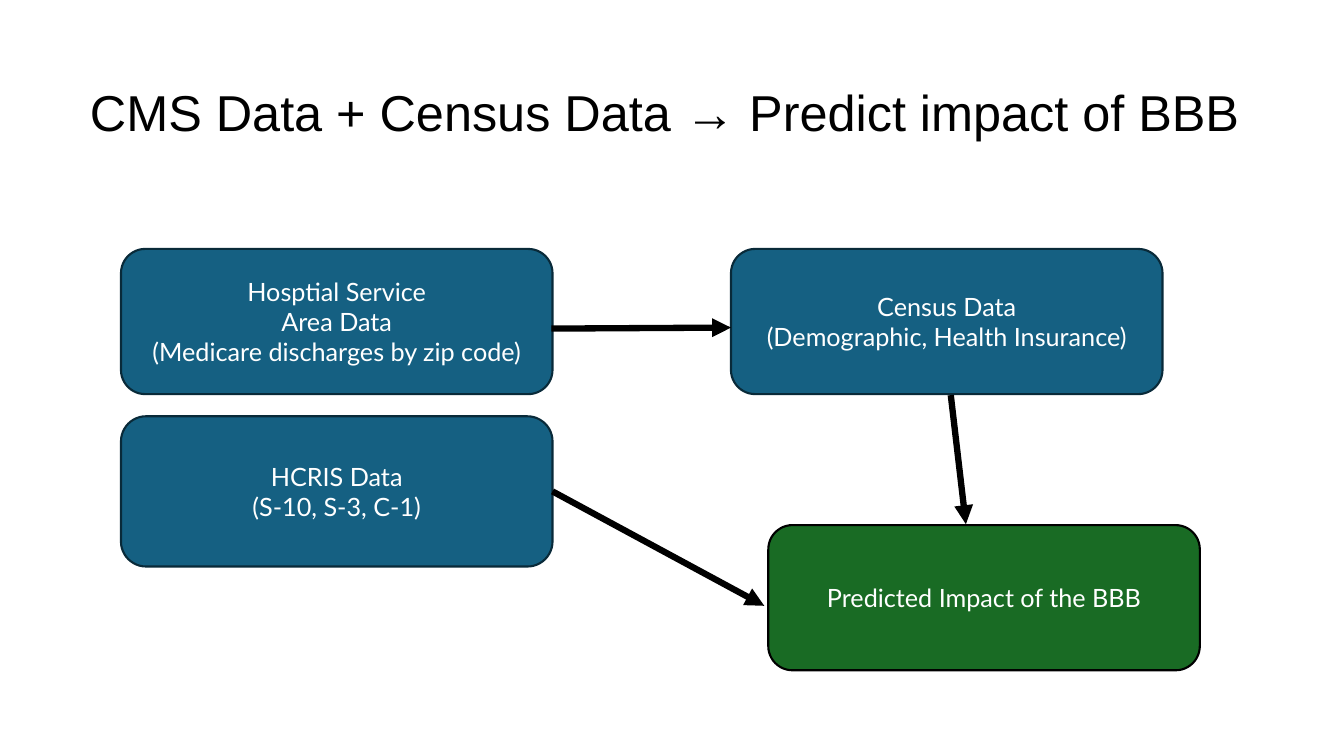
from dataclasses import dataclass

from lxml import etree
from pptx import Presentation
from pptx.dml.color import RGBColor
from pptx.enum.shapes import MSO_CONNECTOR, MSO_SHAPE
from pptx.enum.text import MSO_ANCHOR, PP_ALIGN
from pptx.oxml.ns import qn
from pptx.shapes.autoshape import Shape
from pptx.slide import Slide
from pptx.util import Inches, Pt

ROUNDED = MSO_SHAPE.ROUNDED_RECTANGLE
STRAIGHT = MSO_CONNECTOR.STRAIGHT
MIDDLE = MSO_ANCHOR.MIDDLE
CENTER = PP_ALIGN.CENTER
RIGHT_SIDE = 3

COLORS = {
    "blue": "156082",
    "navy": "092A39",
    "green": "196B24",
    "black": "000000",
    "white": "FFFFFF",
}
BOX_WIDTH = 4.28
BOX_HEIGHT = 1.44
TOP_ROW = 2.47
LEFT_COLUMN = 1.2


@dataclass
class Box:
    key: str
    text: str
    left: float
    top: float
    height: float = BOX_HEIGHT
    fill: str = "blue"
    outline: str = "navy"


@dataclass
class Arrow:
    start: tuple[float, float]
    end: tuple[float, float]
    source: str = ""  # box whose right side the arrow is joined to


BOXES = [
    Box("hcris", "HCRIS Data\n(S-10, S-3, C-1)", LEFT_COLUMN, 4.13, height=1.49),
    Box("service area",
        "Hosptial Service\nArea Data\n(Medicare discharges by zip code)",
        LEFT_COLUMN, TOP_ROW),
    Box("census", "Census Data\n(Demographic, Health Insurance)", 7.25, TOP_ROW),
    Box("impact", "Predicted Impact of the BBB", 7.62, 5.21,
        fill="green", outline="black"),
]
ARROWS = [
    Arrow((5.48, 4.88), (7.58, 6.01), source="hcris"),
    Arrow((5.47, 3.26), (7.25, 3.25)),
    Arrow((9.43, 3.92), (9.58, 5.2)),
]


def color(name: str) -> RGBColor:
    return RGBColor.from_string(COLORS[name])


def write_text(shape: Shape, text: str, font: str, size: float,
               font_color: str, line_spacing: float = 1.0) -> None:
    frame = shape.text_frame
    frame.word_wrap = True
    frame.vertical_anchor = MIDDLE
    frame.text = text
    for paragraph in frame.paragraphs:
        paragraph.alignment = CENTER
        paragraph.line_spacing = line_spacing
        for run in paragraph.runs:
            run.font.name = font
            run.font.size = Pt(size)
            run.font.color.rgb = color(font_color)


def add_title(slide: Slide, text: str) -> None:
    shape = slide.shapes.add_textbox(
        Inches(0), Inches(0.4), Inches(13.19), Inches(1.48))
    write_text(shape, text, "Arial", 36, "black", line_spacing=0.9)


def add_box(slide: Slide, box: Box) -> Shape:
    shape = slide.shapes.add_shape(
        ROUNDED, Inches(box.left), Inches(box.top),
        Inches(BOX_WIDTH), Inches(box.height))
    shape.shadow.inherit = False
    shape.fill.solid()
    shape.fill.fore_color.rgb = color(box.fill)
    shape.line.color.rgb = color(box.outline)
    shape.line.width = Pt(1.5)
    write_text(shape, box.text, "Lato", 18, "white")
    return shape


def add_arrow(slide: Slide, arrow: Arrow, shapes: dict[str, Shape]) -> None:
    connector = slide.shapes.add_connector(
        STRAIGHT, *(Inches(value) for value in arrow.start + arrow.end))
    if arrow.source:
        connector.begin_connect(shapes[arrow.source], RIGHT_SIDE)
    connector.line.color.rgb = color("black")
    connector.line.width = Pt(4.5)
    # Arrowhead, and no theme shadow
    properties = connector.element.spPr
    line = properties.find(qn("a:ln"))
    etree.SubElement(line, qn("a:tailEnd"), type="triangle")
    etree.SubElement(properties, qn("a:effectLst"))


def main() -> None:
    presentation = Presentation()
    presentation.slide_width = Inches(13.33)
    presentation.slide_height = Inches(7.5)
    slide = presentation.slides.add_slide(presentation.slide_layouts[6])

    # Title
    add_title(slide, "CMS Data + Census Data → Predict impact of BBB")

    # Data sources and result
    shapes = {box.key: add_box(slide, box) for box in BOXES}

    # Flow between them
    for arrow in ARROWS:
        add_arrow(slide, arrow, shapes)

    presentation.save("out.pptx")


if __name__ == "__main__":
    main()
